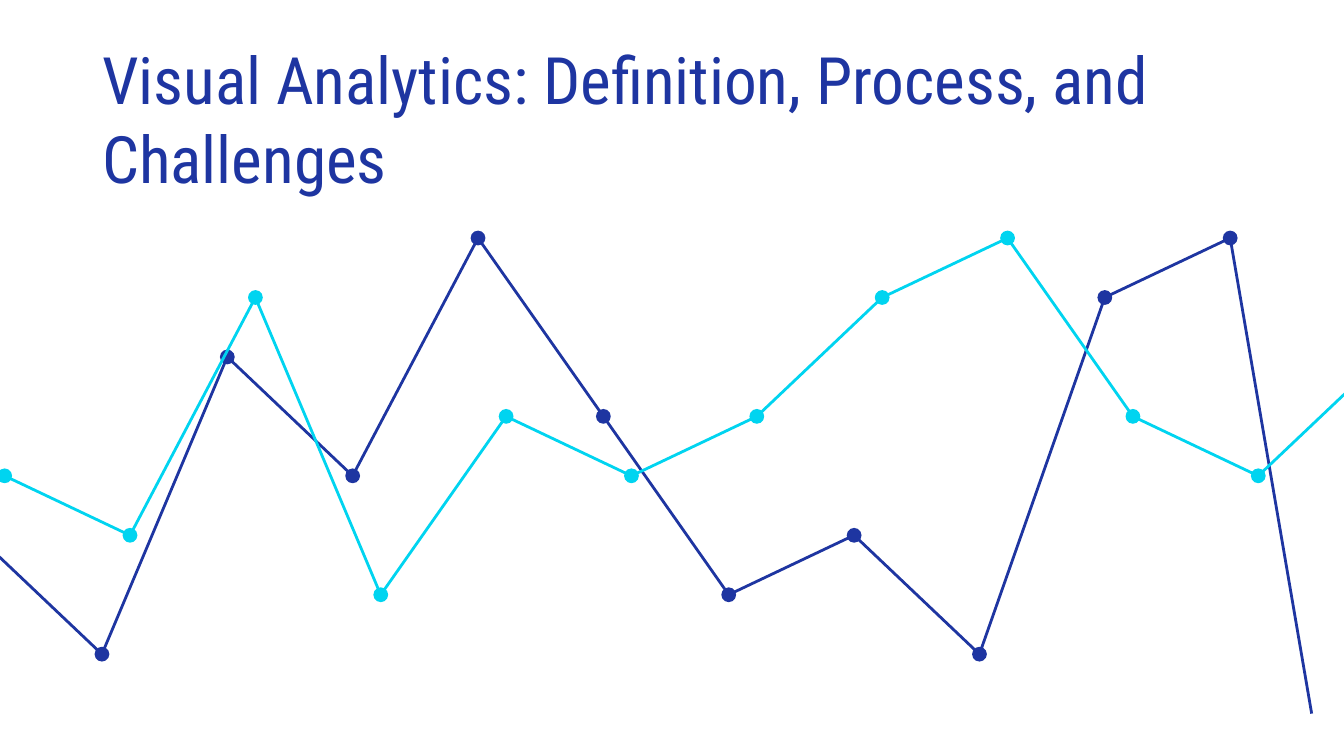
from pptx import Presentation
from pptx.dml.color import RGBColor
from pptx.enum.shapes import MSO_SHAPE as Shape
from pptx.enum.text import MSO_ANCHOR as Anchor, MSO_AUTO_SIZE as AutoSize, PP_ALIGN as Align
from pptx.util import Cm, Pt

NAVY = "1E35A1"
CYAN = "00D4F0"
FONT = "Roboto Condensed"
DOT_SIZE = Cm(0.28)
LEVELS = 8  # vertical steps from the highest to the lowest point

# Points as (column, level below the top); the last one ends between columns.
NAVY_POINTS = [(0, 8), (1, 3), (3, 7), (4, 2), (5, 4), (6, 0), (7, 3), (8, 6),
               (9, 5), (10, 7), (11, 1), (12, 0), (12.65, 8)]
CYAN_POINTS = [(0, 6), (1, 4), (2, 5), (3, 1), (4, 6), (5, 3), (6, 4), (7, 3),
               (8, 1), (9, 0), (10, 3), (11, 4), (12, 2), (12.65, 6)]


def color(hex_code):
    return RGBColor.from_string(hex_code)


def add_title(slide, text, left, top, width, height):
    title = slide.shapes.title
    title.left, title.top, title.width, title.height = left, top, width, height
    frame = title.text_frame
    frame.word_wrap = True
    frame.auto_size = AutoSize.NONE
    frame.vertical_anchor = Anchor.MIDDLE
    frame.margin_left = frame.margin_right = Cm(0.25)
    frame.margin_top = frame.margin_bottom = Cm(0.25)
    paragraph = frame.paragraphs[0]
    paragraph.alignment = Align.LEFT
    run = paragraph.add_run()
    run.text = text
    run.font.name = FONT
    run.font.size = Pt(35)
    run.font.color.rgb = color(NAVY)


def add_trend(slide, points, dotted_columns, hex_code, left, top, width, height):
    """Draw a line through the points, with dots on the given columns."""
    column_step = width / points[-1][0]
    level_step = height / LEVELS
    spots = [(column, round(left + column * column_step), round(top + level * level_step))
             for column, level in points]
    trend = slide.shapes.add_group_shape().shapes

    builder = trend.build_freeform(*spots[0][1:])
    builder.add_line_segments([(x, y) for _, x, y in spots[1:]], close=False)
    line = builder.convert_to_shape()
    line.shadow.inherit = False
    line.fill.background()
    line.line.color.rgb = color(hex_code)
    line.line.width = Pt(1.5)

    for column, x, y in spots:
        if column in dotted_columns:
            dot = trend.add_shape(Shape.OVAL, x - DOT_SIZE // 2, y - DOT_SIZE // 2,
                                  DOT_SIZE, DOT_SIZE)
            dot.shadow.inherit = False
            dot.fill.solid()
            dot.fill.fore_color.rgb = color(hex_code)
            dot.line.fill.background()


def main():
    deck = Presentation()
    deck.slide_width, deck.slide_height = Cm(25.4), Cm(14.29)
    slide = deck.slides.add_slide(deck.slide_layouts[0])
    subtitle = slide.placeholders[1].element
    subtitle.getparent().remove(subtitle)

    add_title(slide, "Visual Analytics: Definition, Process, and Challenges",
              Cm(1.68), Cm(0.97), Cm(22.05), Cm(2.51))
    trend_box = Cm(4.5), Cm(29.97), Cm(8.99)
    add_trend(slide, NAVY_POINTS, range(3, 13), NAVY, Cm(-5.18), *trend_box)
    add_trend(slide, CYAN_POINTS, range(1, 12), CYAN, Cm(-2.28), *trend_box)
    deck.save("out.pptx")


if __name__ == "__main__":
    main()
